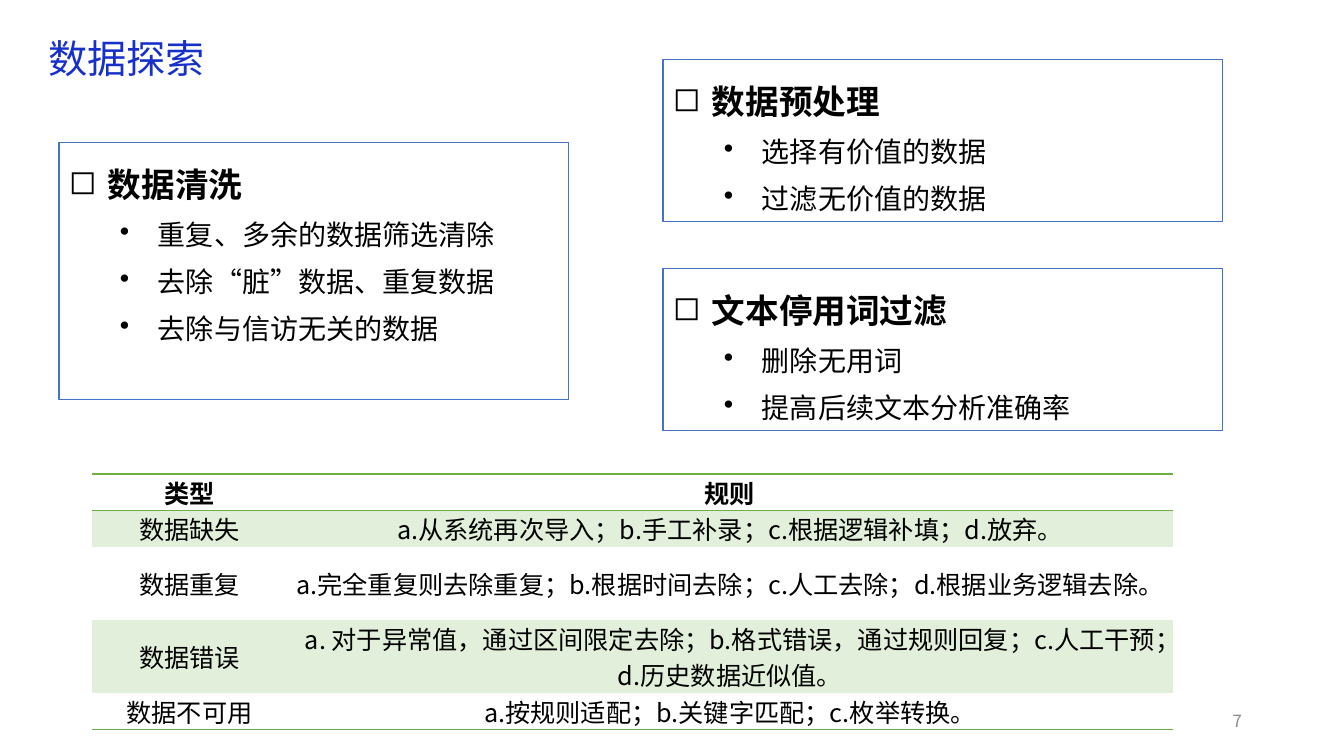
import pptx
import pptx.util
import pptx.dml.color
import pptx.enum.shapes
import pptx.enum.text
import pptx.oxml
import pptx.oxml.ns

PX = 914400 / 100.8
COLORS = {"title": "1730CA", "text": "000000", "number": "8C8C8C",
          "box": "4472C4", "rule": "70AD47", "band": "E2EFDA"}
BODY_FONT = "Noto Sans CJK SC"
NO_STYLE = "{2D5ABB26-0587-4C30-8999-92F81FD0307C}"
ALIGN = pptx.enum.text.PP_ALIGN
ANCHOR = pptx.enum.text.MSO_ANCHOR


def px(*lengths):
    return [pptx.util.Emu(round(length * PX)) for length in lengths]


def style(paragraph, size, color="text", bold=False, name=BODY_FONT, align=ALIGN.LEFT):
    paragraph.alignment = align
    font = paragraph.font
    font.size = pptx.util.Pt(size)
    font.bold = bold
    font.name = name
    font.color.rgb = pptx.dml.color.RGBColor.from_string(COLORS[color])
    east_asian = pptx.oxml.parse_xml(
        f'<a:ea {pptx.oxml.ns.nsdecls("a")} typeface="{name}"/>')
    font._element.find(pptx.oxml.ns.qn("a:latin")).addnext(east_asian)


presentation = pptx.Presentation()
presentation.slide_width, presentation.slide_height = px(1344, 756)
slide = presentation.slides.add_slide(presentation.slide_layouts[5])

# Title
title = slide.shapes.title
title.left, title.top, title.width, title.height = px(38, 29, 295, 58)
title.text_frame.text = "数据探索"
title.text_frame.auto_size = pptx.enum.text.MSO_AUTO_SIZE.NONE
title.text_frame.vertical_anchor = ANCHOR.MIDDLE
style(title.text_frame.paragraphs[0], 28, "title", name="Noto Sans CJK JP")

# Rule table
rules = [
    ("类型", "规则"),
    ("数据缺失", "a.从系统再次导入；b.手工补录；c.根据逻辑补填；d.放弃。"),
    ("数据重复", "a.完全重复则去除重复；b.根据时间去除；c.人工去除；d.根据业务逻辑去除。"),
    ("数据错误", "a. 对于异常值，通过区间限定去除；b.格式错误，通过规则回复；c.人工干预；d.历史数据近似值。"),
    ("数据不可用", "a.按规则适配；b.关键字匹配；c.枚举转换。"),
]
table_shape = slide.shapes.add_table(len(rules), 2, *px(92, 474, 1081, 252))
table = table_shape.table
table.horz_banding = False
table._tbl.tblPr.find(pptx.oxml.ns.qn("a:tableStyleId")).text = NO_STYLE
for column, width in zip(table.columns, px(195, 886)):
    column.width = width
for row, height in zip(table.rows, px(36, 36, 72, 72, 36)):
    row.height = height

borders = {0: ("lnT", "lnB"), len(rules) - 1: ("lnB",)}
for row_index, texts in enumerate(rules):
    for column_index, text in enumerate(texts):
        cell = table.cell(row_index, column_index)
        cell.text = text
        cell.vertical_anchor = ANCHOR.MIDDLE
        cell.margin_left, cell.margin_right, cell.margin_top, cell.margin_bottom = px(7, 7, 0, 0)
        style(cell.text_frame.paragraphs[0], 18, bold=row_index == 0, align=ALIGN.CENTER)
        for side in borders.get(row_index, ()):
            cell._tc.get_or_add_tcPr().append(pptx.oxml.parse_xml(
                f'<a:{side} {pptx.oxml.ns.nsdecls("a")} w="12700"><a:solidFill>'
                f'<a:srgbClr val="{COLORS["rule"]}"/></a:solidFill></a:{side}>'))
        if row_index % 2:
            cell.fill.solid()
            cell.fill.fore_color.rgb = pptx.dml.color.RGBColor.from_string(COLORS["band"])
        else:
            cell.fill.background()

# Boxes with a heading and bullets
boxes = [
    ((59, 143, 510, 257), "数据清洗",
     ["重复、多余的数据筛选清除", "去除“脏”数据、重复数据", "去除与信访无关的数据"]),
    ((663, 60, 560, 162), "数据预处理", ["选择有价值的数据", "过滤无价值的数据"]),
    ((663, 269, 560, 162), "文本停用词过滤", ["删除无用词", "提高后续文本分析准确率"]),
]
for bounds, heading, points in boxes:
    box = slide.shapes.add_shape(pptx.enum.shapes.MSO_SHAPE.RECTANGLE, *px(*bounds))
    box.shadow.inherit = False
    box.fill.background()
    box.line.color.rgb = pptx.dml.color.RGBColor.from_string(COLORS["box"])
    box.line.width = pptx.util.Pt(0.75)
    frame = box.text_frame
    frame.word_wrap = True
    frame.vertical_anchor = ANCHOR.TOP
    frame.text = "\n".join([heading, *points])
    for index, paragraph in enumerate(frame.paragraphs):
        is_heading = index == 0
        paragraph.level = 0 if is_heading else 1
        paragraph.line_spacing = 1.4
        margin, hanging = px(39, 39) if is_heading else px(89, 38)
        properties = paragraph._p.get_or_add_pPr()
        properties.set("marL", str(margin))
        properties.set("indent", str(-hanging))
        properties.append(pptx.oxml.parse_xml(
            f'<a:buChar {pptx.oxml.ns.nsdecls("a")} char="{"◻" if is_heading else "•"}"/>'))
        style(paragraph, 24 if is_heading else 20, bold=is_heading)

# Slide number
number = slide.shapes.add_textbox(*px(950, 701, 302, 40))
number.text_frame.text = "7"
number.text_frame.word_wrap = True
number.text_frame.vertical_anchor = ANCHOR.MIDDLE
style(number.text_frame.paragraphs[0], 12, "number", align=ALIGN.RIGHT)

presentation.save("out.pptx")
